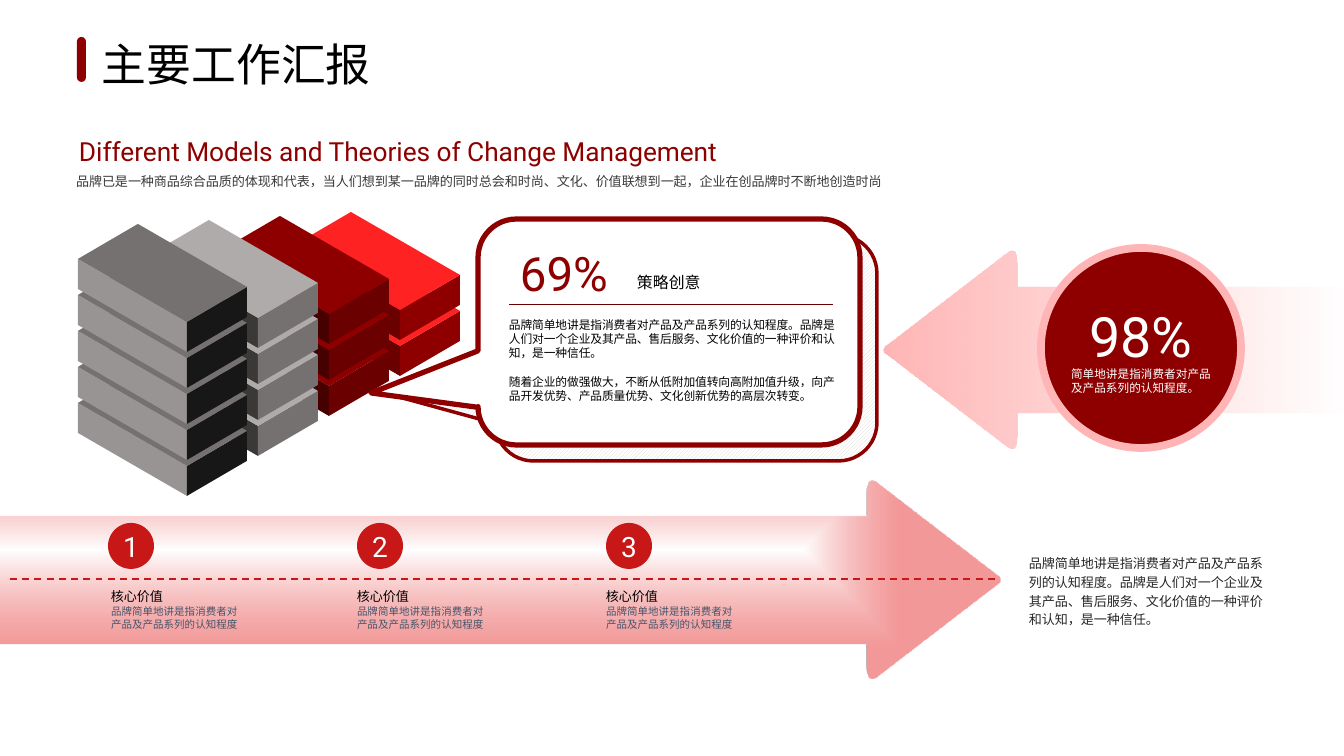
from lxml.etree import SubElement
from pptx import Presentation
from pptx.dml.color import RGBColor
from pptx.enum.dml import MSO_LINE, MSO_PATTERN
from pptx.enum.shapes import MSO_CONNECTOR, MSO_SHAPE
from pptx.enum.text import MSO_ANCHOR, MSO_AUTO_SIZE, PP_ALIGN
from pptx.oxml import parse_xml
from pptx.oxml.ns import nsdecls, qn
from pptx.util import Emu, Pt

SCALE = 914400 / 134.4
DARK_RED, RED, PINK = "8E0000", "C71717", "FFB5B5"

TITLE = "主要工作汇报"
HEADING = "Different Models and Theories of Change Management"
INTRO = "品牌已是一种商品综合品质的体现和代表，当人们想到某一品牌的同时总会和时尚、文化、价值联想到一起，企业在创品牌时不断地创造时尚"
TRUST = "品牌简单地讲是指消费者对产品及产品系列的认知程度。品牌是人们对一个企业及其产品、售后服务、文化价值的一种评价和认知，是一种信任。"
GROWTH = "随着企业的做强做大，不断从低附加值转向高附加值升级，向产品开发优势、产品质量优势、文化创新优势的高层次转变。"
CIRCLE_NOTE = "简单地讲是指消费者对产品及产品系列的认知程度。"
STEP_TITLE = "核心价值"
STEP_NOTE = "品牌简单地讲是指消费者对产品及产品系列的认知程度"
STEPS = [("1", 108, 108), ("2", 357, 354), ("3", 606, 603)]

STACKS = [
    (5, "989494", "181717", "767171"),
    (4, "3B3838", "767171", "AFABAB"),
    (3, "470000", "6A0000", DARK_RED),
    (2, "6A0000", DARK_RED, "FF2222"),
]
BLOCK_FACES = [
    [(0, 0), (109, 63), (109, 93), (0, 30)],
    [(109, 63), (169, 28), (169, 58), (109, 93)],
    [(0, 0), (60, -35), (169, 28), (109, 63)],
]

CALLOUT_SIZE = (382, 226)
ARROW_HEIGHT, HEAD_LENGTH, STEM_TOP = 197, 134, 35


def px(value):
    """Turn px into EMU."""
    return Emu(round(value * SCALE))


def color(hex_string):
    """Turn a hex string into a colour."""
    return RGBColor.from_string(hex_string)


def style(shape, fill=None, line=None, width=1):
    """Set a shape's solid fill and outline and drop its shadow."""
    shape.shadow.inherit = False
    if fill:
        shape.fill.solid()
        shape.fill.fore_color.rgb = color(fill)
    if line:
        shape.line.color.rgb = color(line)
        shape.line.width = Pt(width)
    else:
        shape.line.fill.background()
    return shape


def add_preset(slide, kind, box, fill=None, line=None, width=1, adjustments=()):
    """Add a preset shape."""
    shape = slide.shapes.add_shape(kind, *map(px, box))
    for index, value in enumerate(adjustments):
        shape.adjustments[index] = value
    return style(shape, fill, line, width)


def add_outline(slide, points, fill=None):
    """Add a closed polygon."""
    start, *rest = [(px(x), px(y)) for x, y in points]
    builder = slide.shapes.build_freeform(*start)
    builder.add_line_segments(rest, close=True)
    return style(builder.convert_to_shape(), fill)


def write(shape, paragraphs, size, hex_string, inset=3, center=False, middle=False,
          spacing=None, gap=0, font="Roboto", wrap=True):
    """Fill a shape's text frame with evenly styled paragraphs."""
    frame = shape.text_frame
    frame.word_wrap = wrap
    frame.margin_left = frame.margin_right = px(inset)
    frame.margin_top = frame.margin_bottom = px(min(inset, 7))
    frame.vertical_anchor = MSO_ANCHOR.MIDDLE if middle else MSO_ANCHOR.TOP
    for index, text in enumerate(paragraphs):
        paragraph = frame.add_paragraph() if index else frame.paragraphs[0]
        paragraph.add_run().text = text
        paragraph.alignment = PP_ALIGN.CENTER if center else PP_ALIGN.LEFT
        if spacing:
            paragraph.line_spacing = spacing
        if index:
            paragraph.space_before = Pt(gap)
        paragraph.font.name = font
        paragraph.font.size = Pt(size)
        paragraph.font.color.rgb = color(hex_string)


def add_text(slide, box, paragraphs, size, hex_string, **options):
    """Add a text box that grows with its text."""
    text_box = slide.shapes.add_textbox(*map(px, box))
    write(text_box, paragraphs, size, hex_string, **options)
    text_box.text_frame.auto_size = MSO_AUTO_SIZE.SHAPE_TO_FIT_TEXT


def add_line(slide, left, right, y, hex_string, width):
    """Add a horizontal line without a shadow."""
    line = slide.shapes.add_connector(MSO_CONNECTOR.STRAIGHT, px(left), px(y), px(right), px(y))
    line.line.color.rgb = color(hex_string)
    line.line.width = Pt(width)
    SubElement(line._element.spPr, qn("a:effectLst"))
    return line


def round_corner(start, control, end, pieces=8):
    """Return points along a quadratic curve."""
    return [
        tuple((1 - t) ** 2 * a + 2 * t * (1 - t) * b + t * t * c
              for a, b, c in zip(start, control, end))
        for t in (step / pieces for step in range(pieces + 1))
    ]


def add_arrow(slide, left, top, length, start_color, end_color, direction):
    """Add a right-pointing block arrow that fades in from transparent."""
    base = length - HEAD_LENGTH
    middle = ARROW_HEIGHT / 2
    upper = [(0, STEM_TOP), (base, STEM_TOP)]
    upper += round_corner((base, 14), (base, -8), (base + 13, 4))
    tip = round_corner((length - 5, middle - 6), (length + 5, middle), (length - 5, middle + 6))
    lower = [(x, ARROW_HEIGHT - y) for x, y in reversed(upper)]
    arrow = add_outline(slide, [(left + x, top + y) for x, y in upper + tip + lower])
    arrow._element.spPr.insert(2, parse_xml(
        f'<a:gradFill {nsdecls("a")} rotWithShape="1"><a:gsLst>'
        f'<a:gs pos="0"><a:srgbClr val="{start_color}"><a:alpha val="0"/></a:srgbClr></a:gs>'
        f'<a:gs pos="100000"><a:srgbClr val="{end_color}"/></a:gs>'
        f'</a:gsLst>{direction}</a:gradFill>'))
    return arrow


def add_stacks(slide):
    """Draw the stacks of blocks from back to front."""
    for column, (count, *fills) in reversed(list(enumerate(STACKS))):
        for level in reversed(range(count)):
            left, top = 78 + 71 * column, 259 - 4 * column + 36 * level
            for face, fill in zip(BLOCK_FACES, fills):
                add_outline(slide, [(left + x, top + y) for x, y in face], fill)


def main():
    """Build the slide and save it."""
    presentation = Presentation()
    presentation.slide_width, presentation.slide_height = px(1344), px(756)
    slide = presentation.slides.add_slide(presentation.slide_layouts[6])

    add_text(slide, (89, 30, 298, 67), [TITLE], 24, "000000", inset=13, font="Cabin", wrap=False)
    add_preset(slide, MSO_SHAPE.ROUNDED_RECTANGLE, (77, 37, 9, 45), DARK_RED, adjustments=[0.5])
    back_callout = add_preset(slide, MSO_SHAPE.ROUNDED_RECTANGULAR_CALLOUT, (495, 235, *CALLOUT_SIZE),
                              None, DARK_RED, 1.88, (-0.81, 0.19, 0.17))
    back_callout.fill.patterned()
    back_callout.fill.pattern = MSO_PATTERN.DARK_UPWARD_DIAGONAL
    back_callout.fill.fore_color.rgb = color("D9D9D9")
    back_callout.fill.back_color.rgb = color("FFFFFF")

    add_arrow(slide, 0, 481, 1000, "ED6464", "F39898",
              '<a:path path="rect"><a:fillToRect l="-14000" t="47000" r="114000" b="53000"/></a:path>')
    add_line(slide, 10, 998, 579, RED, 0.94).line.dash_style = MSO_LINE.DASH
    add_arrow(slide, 883, 251, 461, PINK, PINK, '<a:lin ang="0" scaled="0"/>').rotation = 180

    add_text(slide, (76, 132, 942, 38), [HEADING], 14.1, DARK_RED)
    add_text(slide, (73, 163, 880, 27), [INTRO], 7, "3B3838", spacing=1.5)
    for number, badge_left, text_left in STEPS:
        badge = add_preset(slide, MSO_SHAPE.OVAL, (badge_left, 523, 46, 46), RED)
        write(badge, [number], 15, "FFFFFF", inset=0, center=True, middle=True)
        add_text(slide, (text_left, 585, 105, 22), [STEP_TITLE], 7, "000000")
        add_text(slide, (text_left, 602, 141, 31), [STEP_NOTE], 5.6, "44546A")

    add_stacks(slide)

    add_preset(slide, MSO_SHAPE.ROUNDED_RECTANGULAR_CALLOUT, (478, 219, *CALLOUT_SIZE),
               "FFFFFF", DARK_RED, 2.82, (-0.78, 0.27, 0.17))
    add_text(slide, (504, 313, 339, 97), [TRUST, GROWTH], 6.3, "000000", inset=5, gap=7.6)
    add_text(slide, (632, 267, 177, 30), [STEP_TITLE.replace(STEP_TITLE, "策略创意")], 8.5, "000000",
             inset=5, middle=True)
    add_text(slide, (490, 238, 148, 69), ["69%"], 25.4, DARK_RED, inset=5, center=True, middle=True)
    add_line(slide, 509, 833, 304, "6A0000", 0.47)

    add_preset(slide, MSO_SHAPE.OVAL, (1041, 248, 200, 200), DARK_RED, PINK, 4.14)
    add_text(slide, (1068, 364, 148, 32), [CIRCLE_NOTE], 6.2, "FFFFFF")
    add_text(slide, (1066, 297, 150, 77), ["98%"], 29.8, "FFFFFF", inset=4, center=True, middle=True)
    add_text(slide, (1024, 547, 245, 86), [TRUST], 7, "262626", inset=5, middle=True, spacing=1.2)
    presentation.save("out.pptx")


if __name__ == "__main__":
    main()
